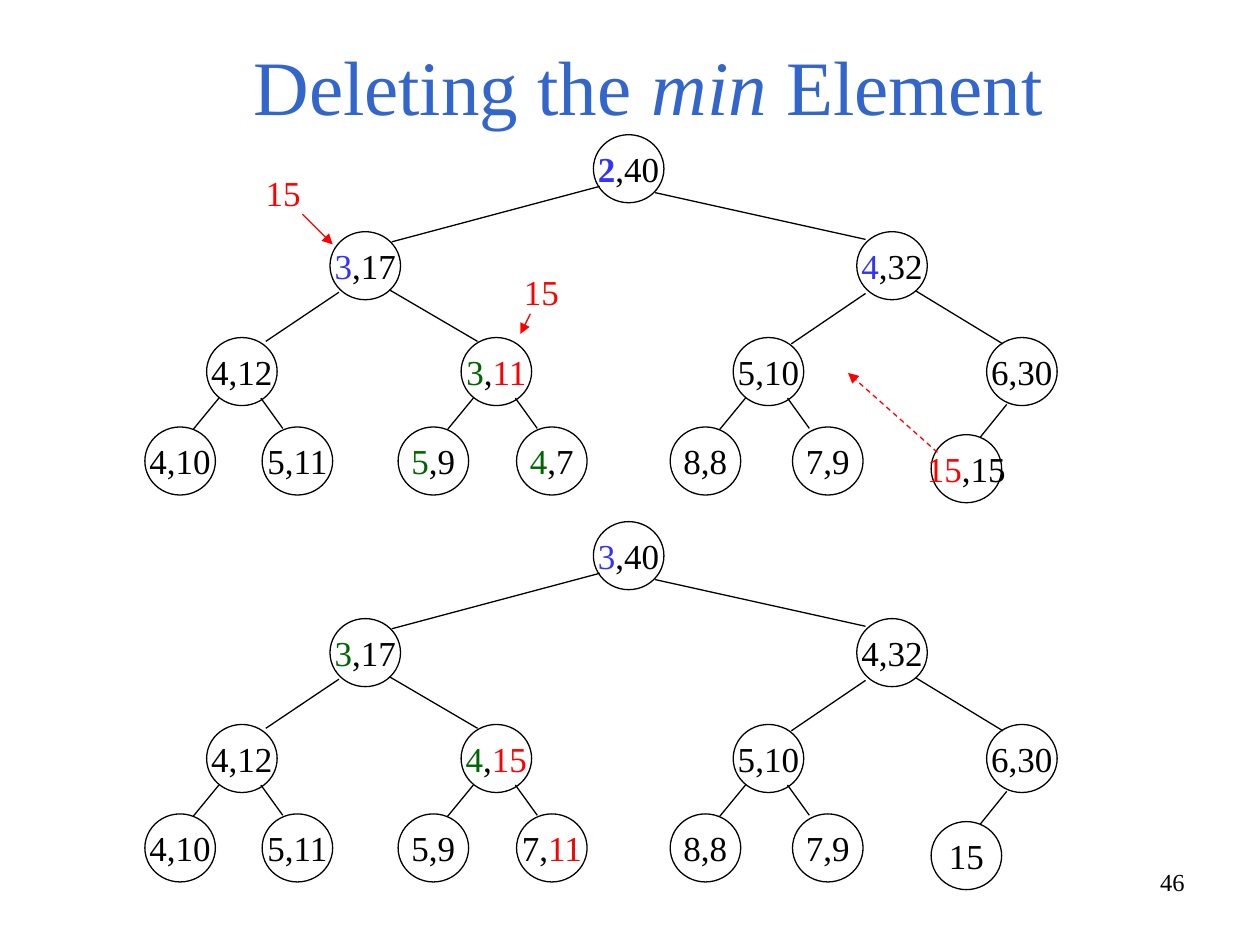
"""Builds a slide with two tournament trees, before and after deleting the minimum."""
from lxml import etree
from pptx import Presentation
from pptx.dml.color import RGBColor
from pptx.enum.dml import MSO_LINE
from pptx.enum.shapes import MSO_CONNECTOR, MSO_SHAPE
from pptx.enum.text import MSO_ANCHOR, PP_ALIGN
from pptx.oxml.ns import qn
from pptx.util import Pt

LEFT, CENTER, RIGHT = PP_ALIGN.LEFT, PP_ALIGN.CENTER, PP_ALIGN.RIGHT
TOP, MIDDLE, BOTTOM = MSO_ANCHOR.TOP, MSO_ANCHOR.MIDDLE, MSO_ANCHOR.BOTTOM
OVAL, STRAIGHT, DASH = MSO_SHAPE.OVAL, MSO_CONNECTOR.STRAIGHT, MSO_LINE.DASH

BLACK = RGBColor(0x00, 0x00, 0x00)
RED = RGBColor(0xFF, 0x00, 0x00)
BLUE = RGBColor(0x33, 0x33, 0xFF)
GREEN = RGBColor(0x00, 0x66, 0x00)
TITLE_BLUE = RGBColor(0x33, 0x66, 0xCC)

NODE_WIDTH, NODE_HEIGHT = 40.3, 38.9
INNER_X = [118.1, 263.5, 419, 563.8]
NODE_SPOTS = (
    [(339.1, 0), (188.6, 55.4), (489.6, 55.4)]
    + [(x, 115.9) for x in INNER_X]
    + [(x, 167) for x in (82.8, 149.8, 227.5, 295.2, 383, 452.9)]
    + [(532.1, 171.4)]
)
UPPER_EDGES = [
    (342.7, 29.5, 223.9, 61.2), (374.4, 33.1, 494.6, 59.8),
    (193.7, 90, 151.9, 118.1), (222.5, 88.6, 272.9, 118.1),
    (494.6, 90.7, 452.2, 119.5), (523.4, 89.3, 573.1, 119.5),
]
LEAF_EDGES = [
    edge
    for x in INNER_X[:3]
    for edge in ((x + 7, 150.5, x - 7.8, 168.5), (x + 31, 150.5, x + 43.5, 167.8))
]
EDGES = UPPER_EDGES + LEAF_EDGES + [(575.3, 154.1, 560.2, 172.8)]

BEFORE = [
    [("2", BLUE, True), (",40",)], [("3", BLUE), (",17",)], [("4", BLUE), (",32",)],
    [("4,12",)], [("3", GREEN), (",",), ("11", RED)], [("5,10",)], [("6,30",)],
    [("4,10",)], [("5,11",)], [("5", GREEN), (",9",)], [("4", GREEN), (",7",)],
    [("8,8",)], [("7,9",)], [("15", RED), (",15",)],
]
AFTER = [
    [("3", BLUE), (",40",)], [("3", GREEN), (",17",)], [("4,32",)],
    [("4,12",)], [("4", GREEN), (",",), ("15", RED)], [("5,10",)], [("6,30",)],
    [("4,10",)], [("5,11",)], [("5,9",)], [("7,",), ("11", RED)],
    [("8,8",)], [("7,9",)], [("15",)],
]


def write_span(para, text, color=BLACK, bold=False, italic=False, size=20, font="Times New Roman"):
    span = para.add_run()
    span.text = text
    span.font.name = font
    span.font.size = Pt(size)
    span.font.bold = bold
    span.font.italic = italic
    span.font.color.rgb = color


class TreeSlide:
    def __init__(self, page, line_width=0.75):
        self.page = page
        self.line_width = Pt(line_width)

    def fill_text(self, box, spans, align, anchor, wrap, size):
        frame = box.text_frame
        frame.word_wrap = wrap
        frame.vertical_anchor = anchor
        para = frame.paragraphs[0]
        para.alignment = align
        for span in spans:
            write_span(para, *span, size=size)

    def label(self, left, top, width, height, spans, align=LEFT, anchor=TOP, size=20):
        box = self.page.shapes.add_textbox(Pt(left), Pt(top), Pt(width), Pt(height))
        self.fill_text(box, spans, align, anchor, True, size)

    def node(self, left, top, spans):
        circle = self.page.shapes.add_shape(
            OVAL, Pt(left), Pt(top), Pt(NODE_WIDTH), Pt(NODE_HEIGHT))
        circle.shadow.inherit = False
        circle.fill.background()
        circle.line.color.rgb = BLACK
        circle.line.width = self.line_width
        self.fill_text(circle, spans, CENTER, MIDDLE, False, 20)

    def line(self, x1, y1, x2, y2, color=BLACK, dash=None, arrow=False):
        edge = self.page.shapes.add_connector(STRAIGHT, Pt(x1), Pt(y1), Pt(x2), Pt(y2))
        edge.line.color.rgb = color
        edge.line.width = self.line_width
        if dash is not None:
            edge.line.dash_style = dash
        properties = edge._element.spPr
        if arrow:
            etree.SubElement(properties.find(qn("a:ln")), qn("a:tailEnd"), type="triangle")
        etree.SubElement(properties, qn("a:effectLst"))

    def tree(self, top, labels):
        for (left, drop), spans in zip(NODE_SPOTS, labels):
            self.node(left, top + drop, spans)
        for x1, y1, x2, y2 in EDGES:
            self.line(x1, top + y1, x2, top + y2)


def main():
    deck = Presentation()
    deck.slide_width, deck.slide_height = Pt(720), Pt(540)
    slide = TreeSlide(deck.slides.add_slide(deck.slide_layouts[6]))

    slide.label(516.2, 491.8, 167.8, 37.4, [("46",)], align=RIGHT, size=14)
    title = [("Deleting the ", TITLE_BLUE), ("min", TITLE_BLUE, False, True),
             (" Element", TITLE_BLUE)]
    slide.label(54, 25.2, 632.9, 53.3, title, align=CENTER, anchor=BOTTOM, size=44)

    slide.tree(298.1, AFTER)
    slide.tree(77, BEFORE)

    for left, top in ((144.7, 94.3), (292.3, 151.2)):
        slide.label(left, top, 39.6, 31.7, [("15", RED)])
    slide.line(172.8, 122.4, 190.1, 139.7, RED, arrow=True)
    slide.line(303.1, 179.3, 297.4, 190.8, RED, arrow=True)
    slide.line(535.7, 258.5, 484.6, 213.1, RED, dash=DASH, arrow=True)

    deck.save("out.pptx")


if __name__ == "__main__":
    main()
